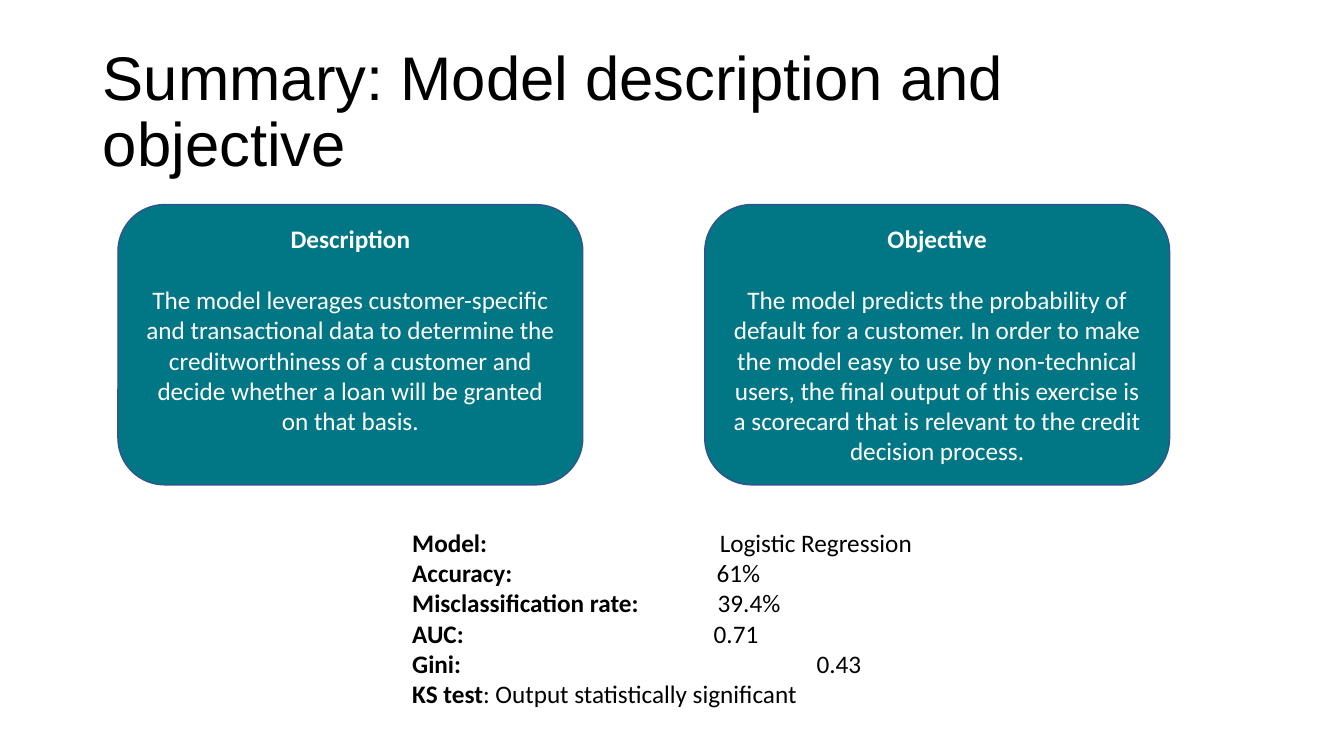
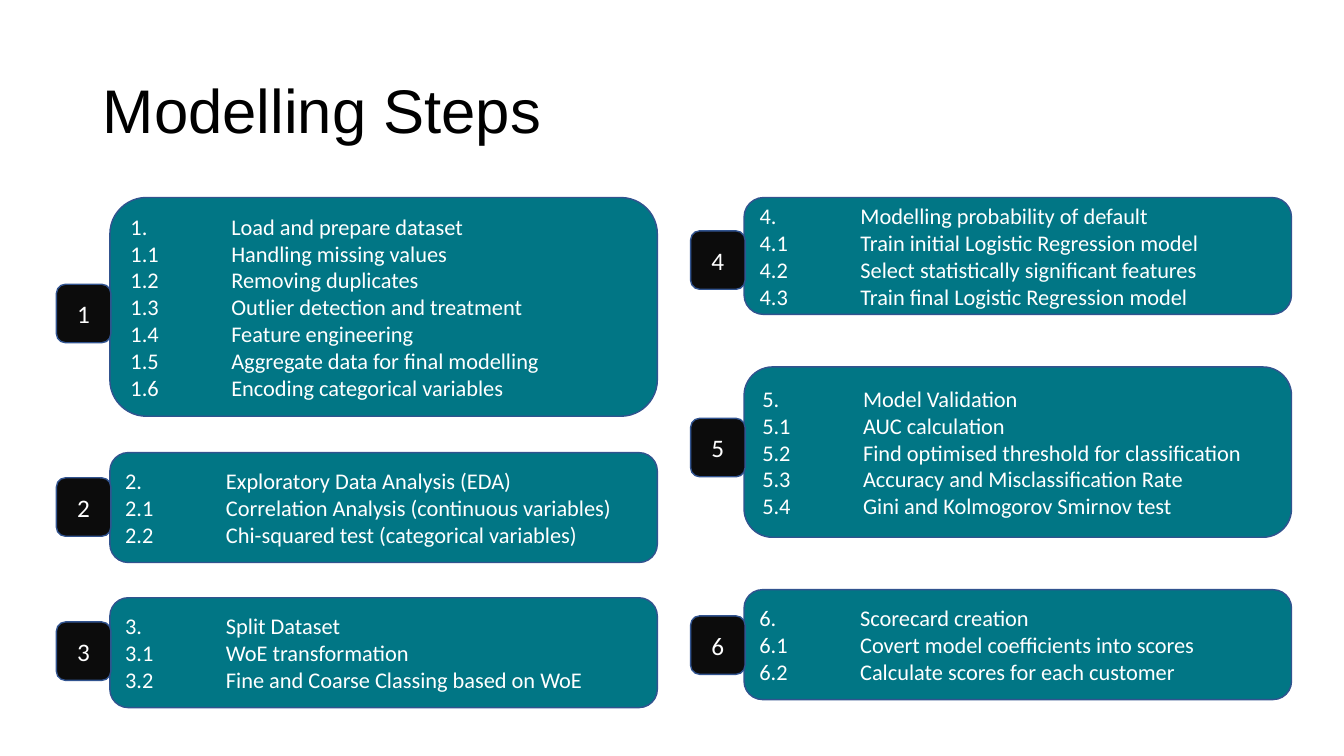
import pptx
import pptx.util
import pptx.dml.color
import pptx.enum.shapes
import pptx.enum.text
import pptx.oxml.ns
import lxml.etree

EMU_PER_PX = 9144  # 100 px to the inch
ALIGN = pptx.enum.text.PP_ALIGN
ANCHOR = pptx.enum.text.MSO_ANCHOR

TEAL, BLACK_BADGE, OUTLINE = "017685", "0C0C0C", "31538F"
WHITE, BLACK = "FFFFFF", "000000"


def px(length):
    return pptx.util.Emu(length * EMU_PER_PX)


def color(hex_string):
    return pptx.dml.color.RGBColor.from_string(hex_string)


def apply_format(target, values):
    for name, value in values.items():
        setattr(target, name, value)


class Deck:
    """Holds the shared style and the current slide."""

    frame_format = {
        "word_wrap": True,
        "auto_size": pptx.enum.text.MSO_AUTO_SIZE.NONE,
        "vertical_anchor": ANCHOR.MIDDLE,
        "margin_left": px(10), "margin_right": px(10),
        "margin_top": px(5), "margin_bottom": px(5),
    }
    title_font = {"name": "Arial", "size": pptx.util.Pt(44)}
    text_font = {"name": "Calibri", "size": pptx.util.Pt(18)}
    step_font = {"name": "Calibri", "size": pptx.util.Pt(16)}

    def __init__(self):
        self.presentation = pptx.Presentation()
        apply_format(self.presentation,
                     {"slide_width": px(1333), "slide_height": px(750)})
        self.slide = None

    def add_slide(self, title):
        layout = self.presentation.slide_layouts.get_by_name("Title Only")
        self.slide = self.presentation.slides.add_slide(layout)
        shape = self.slide.shapes.title
        apply_format(shape, {"left": px(92), "top": px(40),
                             "width": px(1150), "height": px(145)})
        apply_format(shape.text_frame, self.frame_format)
        paragraph = shape.text_frame.paragraphs[0]
        apply_format(paragraph, {"alignment": ALIGN.LEFT, "line_spacing": 0.9})
        self.add_run(paragraph, title, self.title_font, BLACK)

    def add_run(self, paragraph, text, font, font_color, bold=False):
        run = paragraph.add_run()
        run.text = text
        apply_format(run.font, {**font, "bold": bold})
        run.font.color.rgb = color(font_color)

    def add_paragraph(self, frame, runs, font, font_color,
                      alignment=ALIGN.LEFT, space_after=0, tab=None):
        """Add one paragraph; runs is a list of (text, bold)."""
        paragraph = frame.paragraphs[0]
        if paragraph.runs:
            paragraph = frame.add_paragraph()
        apply_format(paragraph, {"alignment": alignment,
                                 "space_after": pptx.util.Pt(space_after)})
        if tab:
            qn = pptx.oxml.ns.qn
            properties = paragraph._p.get_or_add_pPr()
            tab_list = lxml.etree.SubElement(properties, qn("a:tabLst"))
            lxml.etree.SubElement(tab_list, qn("a:tab"),
                                  pos=str(px(tab)), algn="l")
        for text, bold in runs:
            self.add_run(paragraph, text, font, font_color, bold)

    def add_box(self, left, top, width, height, fill):
        shape = self.slide.shapes.add_shape(
            pptx.enum.shapes.MSO_SHAPE.ROUNDED_RECTANGLE,
            px(left), px(top), px(width), px(height))
        shape.shadow.inherit = False
        shape.fill.solid()
        shape.fill.fore_color.rgb = color(fill)
        shape.line.color.rgb = color(OUTLINE)
        shape.line.width = pptx.util.Pt(1)
        apply_format(shape.text_frame, self.frame_format)
        return shape.text_frame

    def add_card(self, left, heading, body, margin_bottom):
        frame = self.add_box(left, 203, 461, 278, TEAL)
        frame.margin_bottom = px(margin_bottom)
        self.add_paragraph(frame, [(heading, True)], self.text_font, WHITE,
                           ALIGN.CENTER, space_after=22)
        self.add_paragraph(frame, [(body, False)], self.text_font, WHITE,
                           ALIGN.CENTER)

    def add_metrics(self, left, top, width, height, metrics):
        shape = self.slide.shapes.add_textbox(
            px(left), px(top), px(width), px(height))
        frame = shape.text_frame
        apply_format(frame, {**self.frame_format,
                             "vertical_anchor": ANCHOR.TOP})
        for label, value, tab in metrics:
            self.add_paragraph(frame, [(label, True), (value, False)],
                               self.text_font, BLACK, tab=tab)

    def add_step_panel(self, left, top, height, number, steps):
        frame = self.add_box(left, top, 543, height, TEAL)
        for index, step in enumerate(steps):
            label = f"{number}.{index or ''}"
            self.add_paragraph(frame, [(f"{label}\t{step}", False)],
                               self.step_font, WHITE, tab=100)

    def add_badge(self, left, top, number):
        frame = self.add_box(left, top, 54, 58, BLACK_BADGE)
        self.add_paragraph(frame, [(str(number), False)], self.text_font,
                           WHITE, ALIGN.CENTER)


# Heading, body, bottom margin of each card
CARDS = [
    ("Description",
     "The model leverages customer-specific and transactional data to "
     "determine the creditworthiness of a customer and decide whether a loan "
     "will be granted on that basis.", 35),
    ("Objective",
     "The model predicts the probability of default for a customer. In order "
     "to make the model easy to use by non-technical users, the final output "
     "of this exercise is a scorecard that is relevant to the credit decision "
     "process.", 5),
]

# Label, value, tab stop of the value
METRICS = [
    ("Model:", "\tLogistic Regression", 305),
    ("Accuracy:", "\t61%", 302),
    ("Misclassification rate:", "\t39.4%", 303),
    ("AUC:", "\t0.71", 299),
    ("Gini:", "\t0.43", 401),
    ("KS test", ": Output statistically significant", None),
]

# Panel left, panel top, panel height, badge top, steps
STAGES = [
    (109, 196, 217, 282, [
        "Load and prepare dataset", "Handling missing values",
        "Removing duplicates", "Outlier detection and treatment",
        "Feature engineering", "Aggregate data for final modelling",
        "Encoding categorical variables"]),
    (109, 449, 109, 474, [
        "Exploratory Data Analysis (EDA)",
        "Correlation Analysis (continuous variables)",
        "Chi-squared test (categorical variables)"]),
    (109, 593, 109, 617, [
        "Split Dataset", "WoE transformation",
        "Fine and Coarse Classing based on WoE"]),
    (738, 196, 116, 229, [
        "Modelling probability of default",
        "Train initial Logistic Regression model",
        "Select statistically significant features",
        "Train final Logistic Regression model"]),
    (738, 364, 169, 415, [
        "Model Validation", "AUC calculation",
        "Find optimised threshold for classification",
        "Accuracy and Misclassification Rate",
        "Gini and Kolmogorov Smirnov test"]),
    (738, 585, 109, 611, [
        "Scorecard creation", "Covert model coefficients into scores",
        "Calculate scores for each customer"]),
]


def main():
    deck = Deck()

    # Summary
    deck.add_slide("Summary: Model description and objective")
    for column, card in enumerate(CARDS):
        deck.add_card(117 + column * 582, *card)
    deck.add_metrics(399, 518, 535, 192, METRICS)

    # Modelling steps: each badge overlaps the edge of its panel
    deck.add_slide("Modelling Steps")
    for number, stage in enumerate(STAGES, start=1):
        left, top, height, badge_top, steps = stage
        deck.add_step_panel(left, top, height, number, steps)
        deck.add_badge(left - 53, badge_top, number)

    deck.presentation.save("out.pptx")


if __name__ == "__main__":
    main()
